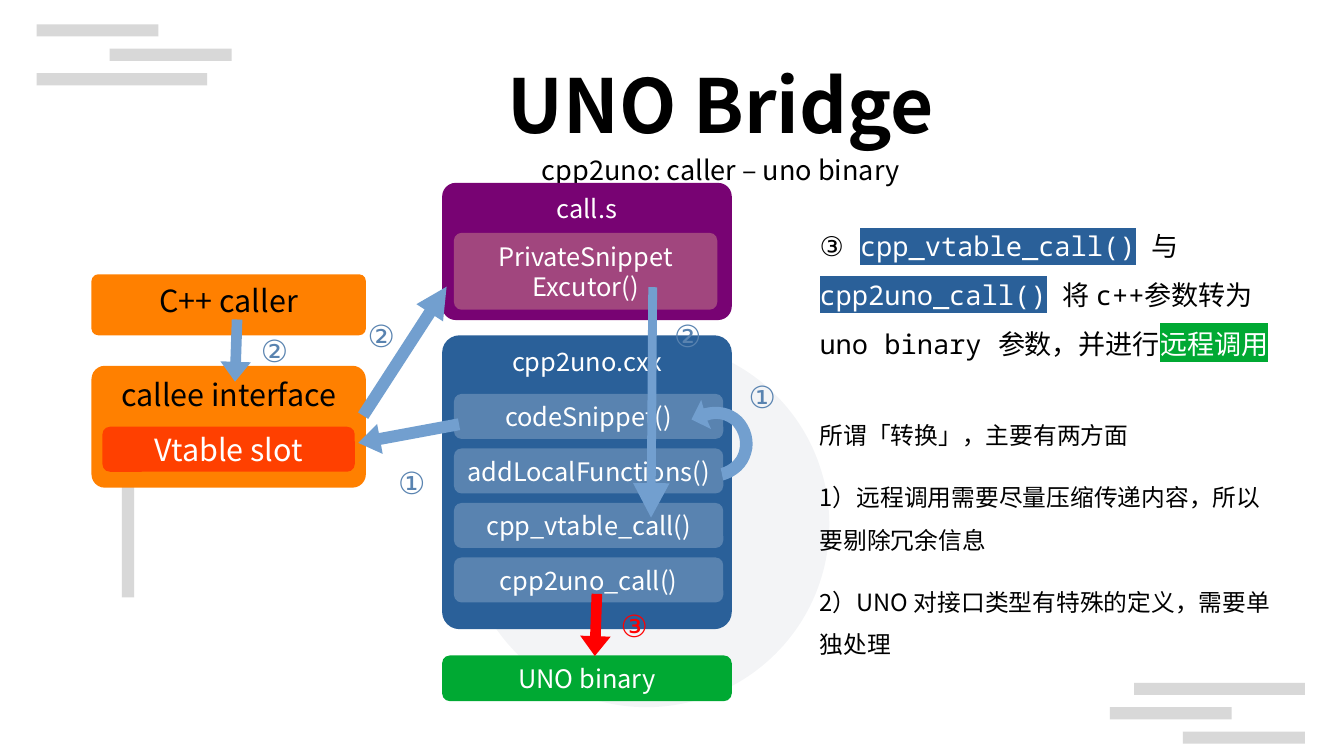
from lxml.etree import SubElement
from pptx import Presentation
from pptx.dml.color import RGBColor
from pptx.enum.shapes import MSO_SHAPE as SHAPE
from pptx.enum.text import MSO_ANCHOR as ANCHOR, MSO_AUTO_SIZE as AUTO, PP_ALIGN as ALIGN
from pptx.oxml.ns import qn
from pptx.util import Pt

BLACK = RGBColor(0x00, 0x00, 0x00)
WHITE = RGBColor(0xFF, 0xFF, 0xFF)
GREY = RGBColor(0xCC, 0xCC, 0xCC)
SLATE = RGBColor(0x8D, 0x99, 0xAE)
ORANGE = RGBColor(0xFF, 0x80, 0x00)
VERMILION = RGBColor(0xFF, 0x40, 0x00)
PURPLE = RGBColor(0x78, 0x03, 0x73)
MAUVE = RGBColor(0xA1, 0x46, 0x7E)
NAVY = RGBColor(0x2A, 0x60, 0x99)
STEEL = RGBColor(0x59, 0x83, 0xB0)
SKY = RGBColor(0x72, 0x9F, 0xCF)
GREEN = RGBColor(0x00, 0xA9, 0x33)
RED = RGBColor(0xFF, 0x00, 0x00)
SANS, MONO, ROBOTO = "Noto Sans CJK SC", "Noto Sans Mono", "Roboto"


def add_run(paragraph, text, size, color, font=SANS, bold=False, highlight=None):
    run = paragraph.add_run()
    run.text = text
    for name, value in {"size": Pt(size), "bold": bold, "name": font}.items():
        setattr(run.font, name, value)
    run.font.color.rgb = color
    props = run.font._element
    SubElement(props, qn("a:ea")).set("typeface", SANS)
    if highlight is not None:
        mark = SubElement(props, qn("a:highlight"))
        SubElement(mark, qn("a:srgbClr")).set("val", str(highlight))
        props.find(qn("a:solidFill")).addnext(mark)


def add_block(kind, box, color, adjust=(), turn=0, alpha=None):
    block = slide.shapes.add_shape(kind, *map(Pt, box))
    block.shadow.inherit = False
    block.fill.solid()
    block.fill.fore_color.rgb = color
    block.line.fill.background()
    block.rotation = turn
    for index, value in enumerate(adjust):
        block.adjustments[index] = value
    if alpha:
        tint = block._element.spPr.find(".//" + qn("a:srgbClr"))
        SubElement(tint, qn("a:alpha")).set("val", str(alpha * 1000))
    return block


deck = Presentation()
deck.slide_width, deck.slide_height = Pt(793.44), Pt(446.4)
slide = deck.slides.add_slide(deck.slide_layouts[5])

# Background decoration
stripes = [(669.6, 403.2, 100.8, 7.2), (655.2, 417.6, 72, 7.2), (698.4, 432, 72, 7.2),
           (21.6, 43.2, 100.8, 7.2), (64.8, 28.8, 72, 7.2), (21.6, 14.4, 72, 7.2),
           (72, 223.2, 7.2, 129.6)]
for stripe in stripes:
    add_block(SHAPE.RECTANGLE, stripe, GREY, alpha=75)
add_block(SHAPE.OVAL, (273.6, 201.6, 216, 216), SLATE, alpha=10)

# Title and subtitle
title = slide.shapes.title
place = {"left": 99.4, "top": 18, "width": 652.3, "height": 100.8}
for name, value in place.items():
    setattr(title, name, Pt(value))
heading = title.text_frame
frame_format = {"margin_left": 0, "margin_right": 0, "margin_top": 0, "margin_bottom": 0,
                "word_wrap": True, "auto_size": AUTO.NONE}
for name, value in {**frame_format, "vertical_anchor": ANCHOR.MIDDLE}.items():
    setattr(heading, name, value)
for line, (text, size, bold, before) in zip(
        (heading.paragraphs[0], heading.add_paragraph()),
        (("UNO Bridge", 44, True, 11.3), ("cpp2uno: caller – uno binary", 16, False, 0))):
    for name, value in {"alignment": ALIGN.CENTER, "line_spacing": 1.15,
                        "space_before": Pt(before)}.items():
        setattr(line, name, value)
    add_run(line, text, size, BLACK, bold=bold)

# Explanation on the right
explanation = slide.shapes.add_textbox(Pt(450), Pt(126), Pt(306), Pt(314)).text_frame
for name, value in {**frame_format, "margin_left": Pt(33.84)}.items():
    setattr(explanation, name, value)
call_step = [("③ ", BLACK, None), ("cpp_vtable_call()", WHITE, NAVY), (" 与 ", BLACK, None),
             ("cpp2uno_call()", WHITE, NAVY),
             (" 将 c++参数转为 uno binary 参数，并进行", BLACK, None), ("远程调用", WHITE, GREEN)]
step = explanation.paragraphs[0]
step.line_spacing, step.space_before = 1.5, Pt(11.3)
for text, color, highlight in call_step:
    add_run(step, text, 16, color, MONO, highlight=highlight)
for text, before in (("所谓「转换」，主要有两方面", 28),
                     ("1）远程调用需要尽量压缩传递内容，所以要剔除冗余信息", 11.3),
                     ("2）UNO 对接口类型有特殊的定义，需要单独处理", 11.3)):
    aspect = explanation.add_paragraph()
    aspect.line_spacing, aspect.space_before = 1.5, Pt(before)
    add_run(aspect, text, 14, BLACK)

# Components: text, box, fill, corner, size, text colour, anchor
TOP, MIDDLE = ANCHOR.TOP, ANCHOR.MIDDLE
components = [
    ("callee interface", (54, 216, 162, 72), ORANGE, 0.11, 18, BLACK, TOP),
    ("C++ caller", (54, 162, 162, 36), ORANGE, 0.11, 18, BLACK, TOP),
    ("Vtable slot", (60.5, 252, 149, 26.6), VERMILION, 0.17, 18, WHITE, MIDDLE),
    ("call.s", (261, 108, 171, 81), PURPLE, 0.1, 15, WHITE, TOP),
    ("PrivateSnippet\nExcutor()", (268, 137.5, 155.5, 45.4), MAUVE, 0.1, 15, WHITE, MIDDLE),
    ("cpp2uno.cxx", (261, 198, 171, 173.5), NAVY, 0.06, 15, WHITE, TOP),
    ("UNO binary", (261, 387, 171, 27), GREEN, 0.17, 15, WHITE, MIDDLE),
]
functions = ["codeSnippet()", "addLocalFunctions()", "cpp_vtable_call()", "cpp2uno_call()"]
for row, function in enumerate(functions):
    components.append((function, (268, 232.6 + 32.2 * row, 159, 26.6),
                       STEEL, 0.17, 15, WHITE, MIDDLE))
for text, box, fill, corner, size, color, anchor in components:
    label = add_block(SHAPE.ROUNDED_RECTANGLE, box, fill, [corner]).text_frame
    label.word_wrap, label.vertical_anchor = False, anchor
    for index, words in enumerate(text.split("\n")):
        line = label.add_paragraph() if index else label.paragraphs[0]
        line.alignment = ALIGN.CENTER
        add_run(line, words, size, color)

# Straight arrows: box, rotation, shaft and head, colour
arrows = [((193.7, 198, 90.7, 18.7), 302.9, (0.38, 0.98), SKY),
          ((211, 247, 60.5, 18), 169.5, (0.39, 0.72), SKY),
          ((316.8, 226.8, 136, 21.6), 90.4, (0.24, 0.94), SKY),
          ((121, 198, 36.7, 18), 91.9, (0.35, 0.65), SKY),
          ((333.4, 360, 36.7, 18), 91.9, (0.35, 0.65), RED)]
for box, turn, adjust, color in arrows:
    add_block(SHAPE.RIGHT_ARROW, box, color, adjust, turn)

# Curved arrow from addLocalFunctions() to codeSnippet()
start = (417.6, 248.4)
bends = [[(423.4, 246.2), (428.4, 247.7), (432.7, 251.3)],
         [(436.3, 255.6), (437.8, 260.6), (436.3, 266.4)],
         [(434.9, 271.4), (430.6, 275), (425.5, 276.5)],
         [(427, 283.7)],
         [(434.9, 281.5), (441.4, 275.8), (443.5, 267.8)],
         [(445.7, 260.6), (443.5, 252), (437.8, 246.2)],
         [(432, 240.5), (423.4, 239), (415.4, 241.2)],
         [(414, 236.2)], [(408.2, 247.7)], [(419.8, 253.4)]]
outline = [start]
for bend in bends:
    if len(bend) == 1:
        outline += bend
        continue
    corners = [outline[-1], *bend]
    for t in (0.125 * n for n in range(1, 9)):
        weights = ((1 - t) ** 3, 3 * t * (1 - t) ** 2, 3 * t * t * (1 - t), t ** 3)
        outline.append(tuple(sum(w * c[axis] for w, c in zip(weights, corners))
                             for axis in (0, 1)))
builder = slide.shapes.build_freeform(*map(Pt, start))
builder.add_line_segments([(Pt(x), Pt(y)) for x, y in outline[1:]], close=True)
loop = builder.convert_to_shape()
loop.shadow.inherit = False
loop.fill.solid()
loop.fill.fore_color.rgb = SKY
loop.line.fill.background()

# Step numbers
markers = [("①", 432, 216, STEEL), ("①", 225, 267, STEEL), ("②", 144, 189, STEEL),
           ("②", 207, 180, STEEL), ("②", 388, 180, STEEL), ("③", 356.4, 351, RED)]
for number, left, top, color in markers:
    marker = slide.shapes.add_textbox(Pt(left), Pt(top), Pt(36), Pt(36)).text_frame
    marker.word_wrap, marker.vertical_anchor = True, MIDDLE
    marker.paragraphs[0].alignment = ALIGN.CENTER
    add_run(marker.paragraphs[0], number, 18, color, ROBOTO)

deck.save("out.pptx")
